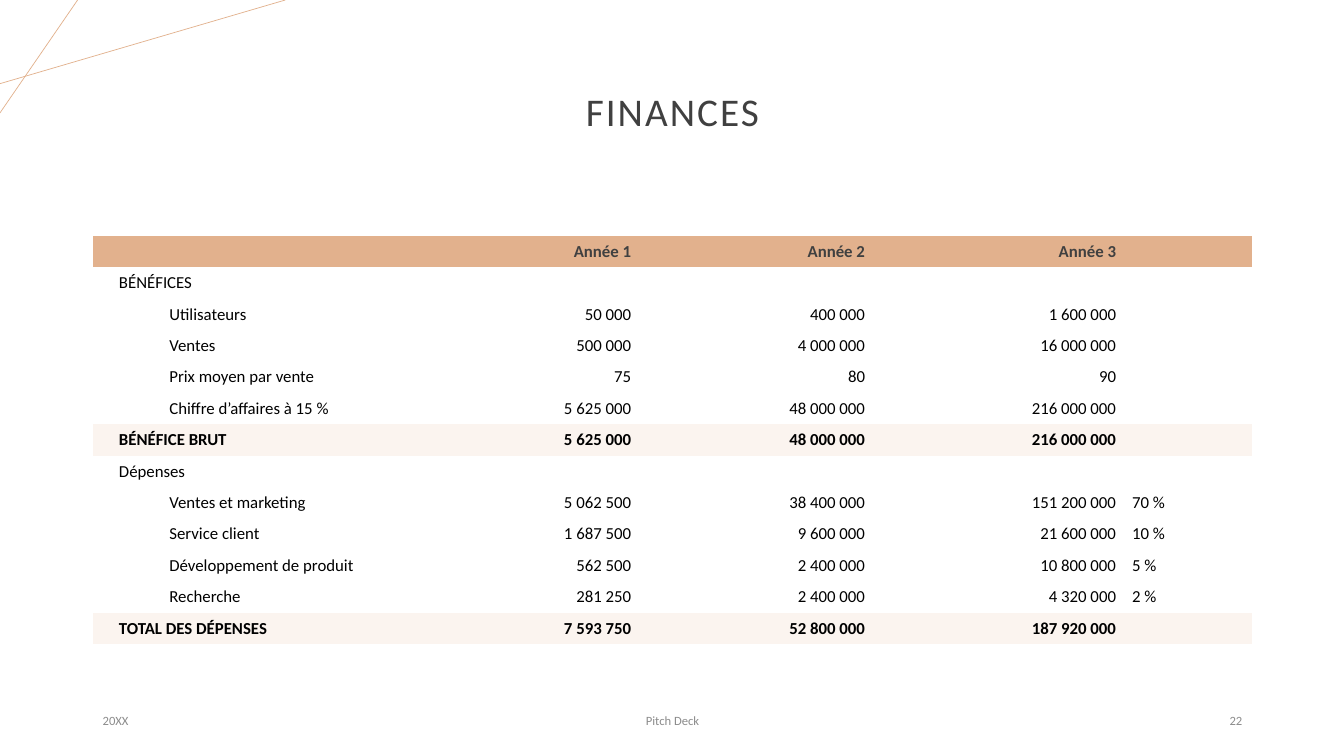
"""Build the finances slide: a three-year table under a centred title."""
from lxml import etree
from pptx import Presentation
from pptx.dml.color import RGBColor
from pptx.enum.shapes import MSO_CONNECTOR
from pptx.enum.text import MSO_ANCHOR, PP_ALIGN
from pptx.oxml.ns import qn
from pptx.util import Emu, Pt

LEFT, MID, RIGHT = PP_ALIGN.LEFT, PP_ALIGN.CENTER, PP_ALIGN.RIGHT
CENTRE = MSO_ANCHOR.MIDDLE
STRAIGHT = MSO_CONNECTOR.STRAIGHT
NB = chr(160)
FONT = "Calibri"
PEACH, CREAM, DARK, GREY, BLACK = "E2B18D", "FBF4EF", "404040", "8C8C8C", "000000"
PLAIN = "{2D5ABB26-0587-4C30-8999-92F81FD0307C}"

YEARS = (1, 2, 3)
ROWS = [
    ("group", "BÉNÉFICES", (), None),
    ("item", "Utilisateurs", (50000, 400000, 1600000), None),
    ("item", "Ventes", (500000, 4000000, 16000000), None),
    ("item", "Prix moyen par vente", (75, 80, 90), None),
    ("item", f"Chiffre d’affaires à 15{NB}%", (5625000, 48000000, 216000000), None),
    ("total", "BÉNÉFICE BRUT", (5625000, 48000000, 216000000), None),
    ("group", "Dépenses", (), None),
    ("item", "Ventes et marketing", (5062500, 38400000, 151200000), 70),
    ("item", "Service client", (1687500, 9600000, 21600000), 10),
    ("item", "Développement de produit", (562500, 2400000, 10800000), 5),
    ("item", "Recherche", (281250, 2400000, 4320000), 2),
    ("total", "TOTAL DES DÉPENSES", (7593750, 52800000, 187920000), None),
]
FOOT = [("20XX", 92, 300, LEFT), ("Pitch Deck", 442, 450, MID), ("22", 942, 300, RIGHT)]
LINES = [(0, 83, 283, 0), (77, 0, 0, 112)]
COLS = (354, 188, 232, 249, 127)
TABLE = (92, 234, 1150, 405)


def px(n):
    return Emu(round(n * 9144))


def rgb(code):
    return RGBColor.from_string(code)


def write(frame, text, size=12, color=BLACK, bold=False, align=LEFT,
          indent=0, space=None, track=None):
    para = frame.paragraphs[0]
    para.alignment = align
    if space:
        para.line_spacing = space
    if indent:
        props = para._p.get_or_add_pPr()
        props.set("marL", str(px(indent)))
        props.set("indent", "0")
    if not text:
        etree.SubElement(para._p, qn("a:endParaRPr"), sz=str(size * 100))
        return
    run = para.add_run()
    run.text = text
    font = run.font
    font.name, font.size, font.bold = FONT, Pt(size), bold
    font.color.rgb = rgb(color)
    if track:
        font._element.set("spc", str(track))


def label(slide, text, box, **form):
    frame = slide.shapes.add_textbox(*map(px, box)).text_frame
    frame.word_wrap = True
    frame.vertical_anchor = CENTRE
    write(frame, text, **form)


def stroke(slide, ends):
    line = slide.shapes.add_connector(STRAIGHT, *map(px, ends))
    line.line.color.rgb = rgb(PEACH)
    line.line.width = Pt(0.5)
    etree.SubElement(line._element.spPr, qn("a:effectLst"))


def grid(slide):
    head = ("head", "", [f"Année{NB}{year}" for year in YEARS], None)
    rows = [head] + ROWS
    table = slide.shapes.add_table(len(rows), len(COLS), *map(px, TABLE)).table
    table.horz_banding = False
    table._tbl.tblPr.find(qn("a:tableStyleId")).text = PLAIN
    for col, width in zip(table.columns, COLS):
        col.width = px(width)
    fills = {"head": PEACH, "total": CREAM}
    for r, (kind, name, sums, share) in enumerate(rows):
        table.rows[r].height = px(TABLE[3] / len(rows))
        nums = [n if kind == "head" else f"{n:,}".replace(",", NB) for n in sums]
        part = f"{share}{NB}%" if share else ""
        texts = [name] + (nums or [""] * len(YEARS)) + [part]
        for c, text in enumerate(texts):
            cell = table.cell(r, c)
            cell.vertical_anchor = CENTRE
            cell.margin_left = px(8 if c else 26)
            cell.margin_right = px(8)
            cell.margin_top = cell.margin_bottom = px(4)
            if kind in fills:
                cell.fill.solid()
                cell.fill.fore_color.rgb = rgb(fills[kind])
            else:
                cell.fill.background()
            write(cell.text_frame, text, bold=kind in fills,
                  color=DARK if kind == "head" else BLACK,
                  align=RIGHT if 0 < c <= len(YEARS) else LEFT,
                  indent=50 if kind == "item" and c == 0 else 0)


def main():
    deck = Presentation()
    deck.slide_width, deck.slide_height = px(1333), px(750)
    slide = deck.slides.add_slide(deck.slide_layouts[6])
    for ends in LINES:
        stroke(slide, ends)
    label(slide, "FINANCES", (92, 40, 1150, 145), size=28, color=DARK,
          align=MID, space=0.9, track=150)
    for text, left, width, align in FOOT:
        label(slide, text, (left, 695, width, 40), size=9, color=GREY, align=align)
    grid(slide)
    deck.save("out.pptx")


if __name__ == "__main__":
    main()
